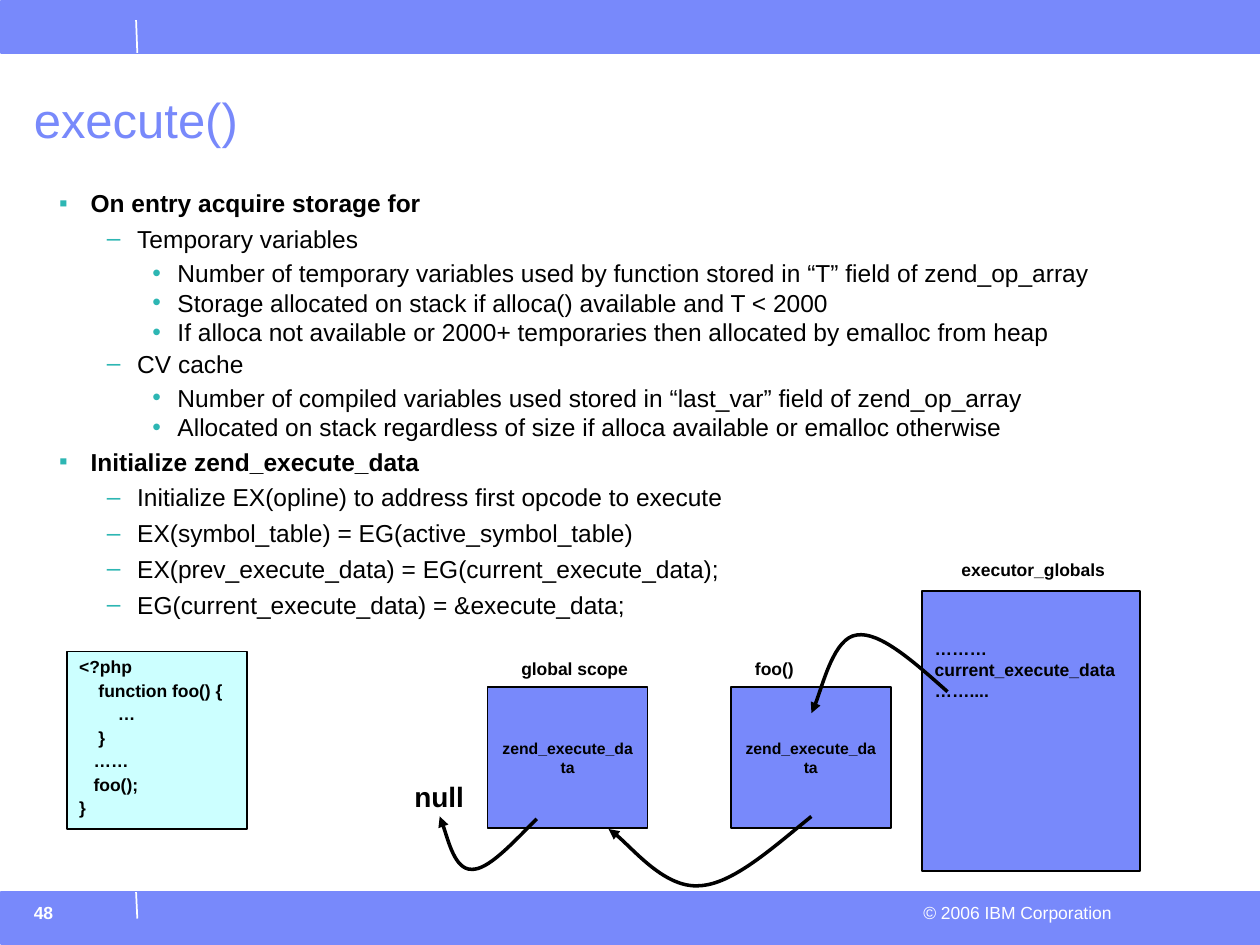
from typing import NamedTuple, Optional

from lxml.etree import SubElement
from pptx import Presentation
from pptx.dml.color import RGBColor
from pptx.enum.shapes import MSO_CONNECTOR as Connector, MSO_SHAPE as Preset
from pptx.enum.text import MSO_ANCHOR as Anchor, PP_ALIGN as Align
from pptx.oxml.ns import qn
from pptx.util import Inches, Pt

BLUE = RGBColor(0x78, 0x89, 0xFB)
CYAN = RGBColor(0xCC, 0xFF, 0xFF)
TEAL = RGBColor(0x2D, 0xB6, 0xB3)
BLACK = RGBColor(0, 0, 0)
WHITE = RGBColor(255, 255, 255)
FONT = "Arial"


class Area(NamedTuple):
    left: float
    top: float
    width: float
    height: float

    def lengths(self):
        return [Inches(value) for value in self]


class Level(NamedTuple):
    bullet: str
    margin: float
    hanging: float
    before: float
    after: float
    bold: bool


class Label(NamedTuple):
    text: str
    area: Area
    size: int = 10


class Block(NamedTuple):
    lines: list[str]
    area: Area
    fill: RGBColor
    size: int
    align: Align = Align.LEFT
    anchor: Anchor = Anchor.MIDDLE
    spacing: Optional[float] = None
    before: float = 0
    margin_top: float = 0.05


LEVELS = [
    Level("▪", 0.25, 0.25, 6.1, 2.6, True),
    Level("–", 0.62, 0.24, 4.4, 2.6, False),
    Level("•", 0.94, 0.20, 3.5, 0, False),
]
OUTLINE = [
    (0, "On entry acquire storage for"),
    (1, "Temporary variables"),
    (2, "Number of temporary variables used by function stored in “T” field of zend_op_array"),
    (2, "Storage allocated on stack if alloca() available and T < 2000"),
    (2, "If alloca not available or 2000+ temporaries then allocated by emalloc from heap"),
    (1, "CV cache"),
    (2, "Number of compiled variables used stored in “last_var” field of zend_op_array"),
    (2, "Allocated on stack regardless of size if alloca available or emalloc otherwise"),
    (0, "Initialize zend_execute_data"),
    (1, "Initialize EX(opline) to address first opcode to execute"),
    (1, "EX(symbol_table) = EG(active_symbol_table)"),
    (1, "EX(prev_execute_data) = EG(current_execute_data);"),
    (1, "EG(current_execute_data) = &execute_data;"),
]
CODE = ["<?php", "    function foo() {", "        …", "    }", "   ……", "   foo();", "}"]
GLOBALS = ["………", "current_execute_data", "……...."]
BLOCKS = [
    Block(["zend_execute_data"], Area(left, 5.45, 1.27, 1.12), BLUE, 9, Align.CENTER)
    for left in (3.87, 5.8)
] + [
    Block(GLOBALS, Area(7.32, 4.69, 1.73, 2.22), BLUE, 10, anchor=Anchor.TOP, margin_top=0.37),
    Block(CODE, Area(0.53, 5.17, 1.43, 1.41), CYAN, 10, spacing=0.6, before=6.2),
]
LABELS = [
    Label("executor_globals", Area(7.53, 4.39, 1.34, 0.26)),
    Label("global scope", Area(4.04, 5.17, 1.04, 0.26)),
    Label("foo()", Area(5.89, 5.17, 0.51, 0.26)),
    Label("null", Area(3.19, 6.14, 0.59, 0.35), 16),
]
# Start point, then two control points and an end point per Bezier segment
POINTERS = [
    [(6.44, 6.48), (6.12, 6.74), (5.81, 7.02), (5.55, 7.03), (5.28, 7.05), (4.95, 6.65), (4.83, 6.58)],
    [(4.26, 6.5), (4.06, 6.7), (3.87, 6.91), (3.74, 6.9), (3.61, 6.9), (3.52, 6.54), (3.49, 6.48)],
    [(7.52, 5.49), (7.25, 5.25), (6.98, 5.01), (6.8, 5.04), (6.62, 5.06), (6.5, 5.55), (6.44, 5.66)],
]


def write(para, text: str, *, size=10, color=BLACK, bold=False, align=Align.LEFT,
          spacing=None, before=0, after=0) -> None:
    para.alignment = align
    para.line_spacing = spacing
    para.space_before, para.space_after = Pt(before), Pt(after)
    span = para.add_run()
    span.text = text
    span.font.name, span.font.size, span.font.bold = FONT, Pt(size), bold
    span.font.color.rgb = color


def paragraphs(frame, count: int) -> list:
    return [frame.paragraphs[0]] + [frame.add_paragraph() for _ in range(count - 1)]


def add_text(page, text: str, area: Area, *, wrap=True, side=0.1, anchor=Anchor.TOP,
             **style) -> None:
    frame = page.shapes.add_textbox(*area.lengths()).text_frame
    frame.word_wrap = wrap
    frame.margin_left = frame.margin_right = Inches(side)
    frame.vertical_anchor = anchor
    write(frame.paragraphs[0], text, **style)


def add_rectangle(page, area: Area, fill: RGBColor, line: RGBColor):
    box = page.shapes.add_shape(Preset.RECTANGLE, *area.lengths())
    box.shadow.inherit = False
    box.fill.solid()
    box.fill.fore_color.rgb = fill
    box.line.color.rgb = line
    box.line.width = Pt(1)
    return box


def add_block(page, block: Block) -> None:
    frame = add_rectangle(page, block.area, block.fill, BLACK).text_frame
    frame.word_wrap = True
    frame.vertical_anchor = block.anchor
    frame.margin_top = Inches(block.margin_top)
    for index, para in enumerate(paragraphs(frame, len(block.lines))):
        write(para, block.lines[index], size=block.size, bold=True, align=block.align,
              spacing=block.spacing, before=block.before if index else 0)


def add_outline(page, area: Area) -> None:
    frame = page.shapes.add_textbox(*area.lengths()).text_frame
    frame.word_wrap = True
    for index, para in enumerate(paragraphs(frame, len(OUTLINE))):
        depth, text = OUTLINE[index]
        level = LEVELS[depth]
        para.level = depth
        props = para._p.get_or_add_pPr()
        props.set("marL", str(Inches(level.margin)))
        props.set("indent", str(-Inches(level.hanging)))
        SubElement(SubElement(props, qn("a:buClr")), qn("a:srgbClr")).set("val", str(TEAL))
        SubElement(props, qn("a:buFont")).set("typeface", FONT)
        SubElement(props, qn("a:buChar")).set("char", level.bullet)
        para.font.size = Pt(14)
        write(para, text, size=14, bold=level.bold, spacing=0.8,
              before=level.before if index else 0, after=level.after)


def add_tick(page, top: float, bottom: float) -> None:
    tick = page.shapes.add_connector(
        Connector.STRAIGHT, Inches(1.08), Inches(top), Inches(1.09), Inches(bottom))
    tick.line.color.rgb = WHITE
    tick.line.width = Pt(1)
    SubElement(tick._element.spPr, qn("a:effectLst"))


def add_pointer(page, points: list[tuple[float, float]]) -> None:
    start, *rest = [(Inches(x), Inches(y)) for x, y in points]
    builder = page.shapes.build_freeform(*start)
    builder.add_line_segments(rest, close=False)
    curve = builder.convert_to_shape()
    curve.shadow.inherit = False
    curve.fill.background()
    curve.line.color.rgb = BLACK
    curve.line.width = Pt(2)
    SubElement(curve.line._get_or_add_ln(), qn("a:tailEnd")).set("type", "triangle")
    # Merge each three straight segments into one Bezier segment
    outline = next(curve._element.iter(qn("a:path")))
    segments = outline.findall(qn("a:lnTo"))
    for first in range(0, len(segments), 3):
        bezier = SubElement(outline, qn("a:cubicBezTo"))
        for segment in segments[first:first + 3]:
            bezier.append(segment[0])
            outline.remove(segment)


def main() -> None:
    deck = Presentation()
    deck.slide_width, deck.slide_height = Inches(10), Inches(7.5)
    page = deck.slides.add_slide(deck.slide_layouts[6])

    # Header and footer bands
    for top in (0.01, 7.08):
        add_rectangle(page, Area(0.01, top, 9.99, 0.41), BLUE, BLUE)
    add_tick(page, 0.16, 0.42)
    add_tick(page, 7.08, 7.29)
    add_text(page, "© 2006 IBM Corporation", Area(7.22, 7.11, 1.7, 0.26),
             wrap=False, color=WHITE, align=Align.RIGHT)
    add_text(page, "48", Area(0.17, 7.11, 1.1, 0.35), color=WHITE, bold=True)

    # Title and outline
    add_text(page, "execute()", Area(0.17, 0.55, 9.02, 0.68), anchor=Anchor.BOTTOM,
             size=28, color=BLUE, spacing=0.9)
    add_outline(page, Area(0.37, 1.49, 9.18, 4.13))

    # Diagram, with labels free of side margins so that each keeps to one line
    for block in BLOCKS:
        add_block(page, block)
    for label in LABELS:
        add_text(page, label.text, label.area, wrap=False, side=0, size=label.size,
                 bold=True, align=Align.CENTER)
    for points in POINTERS:
        add_pointer(page, points)

    deck.save("out.pptx")


if __name__ == "__main__":
    main()
